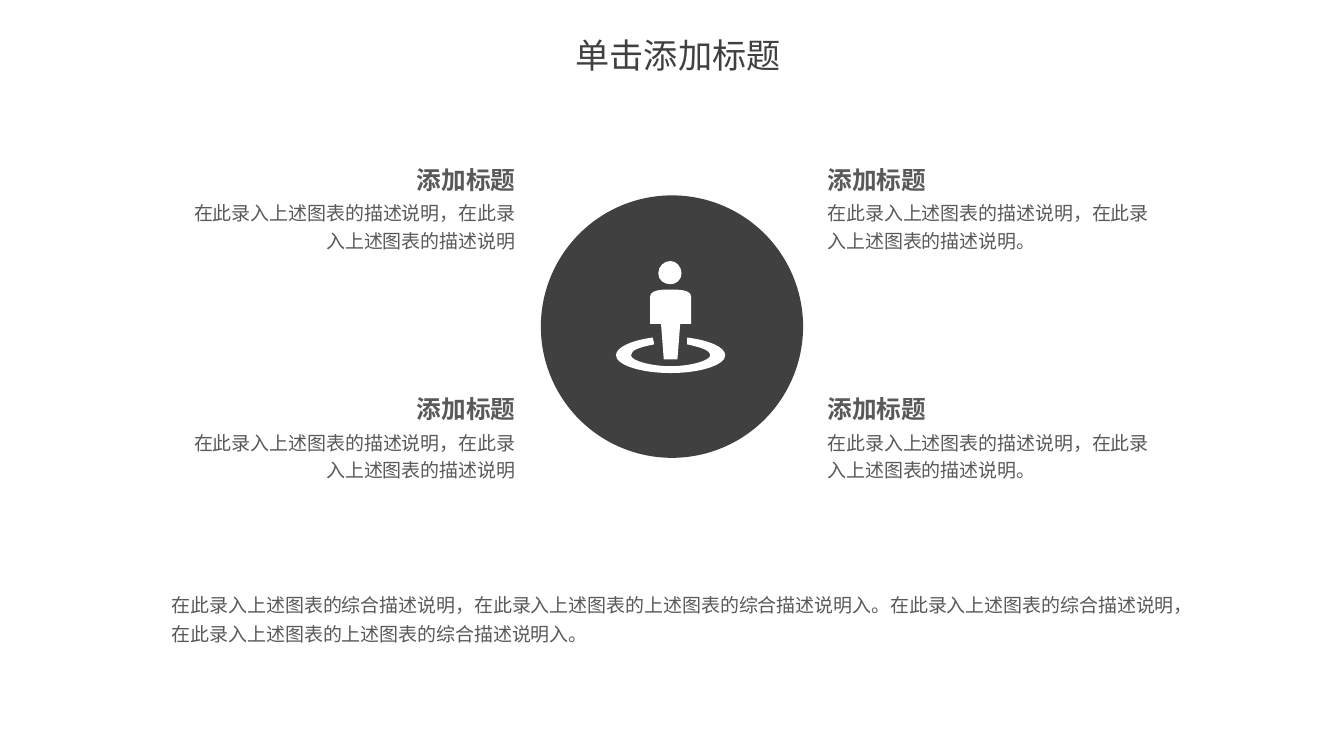
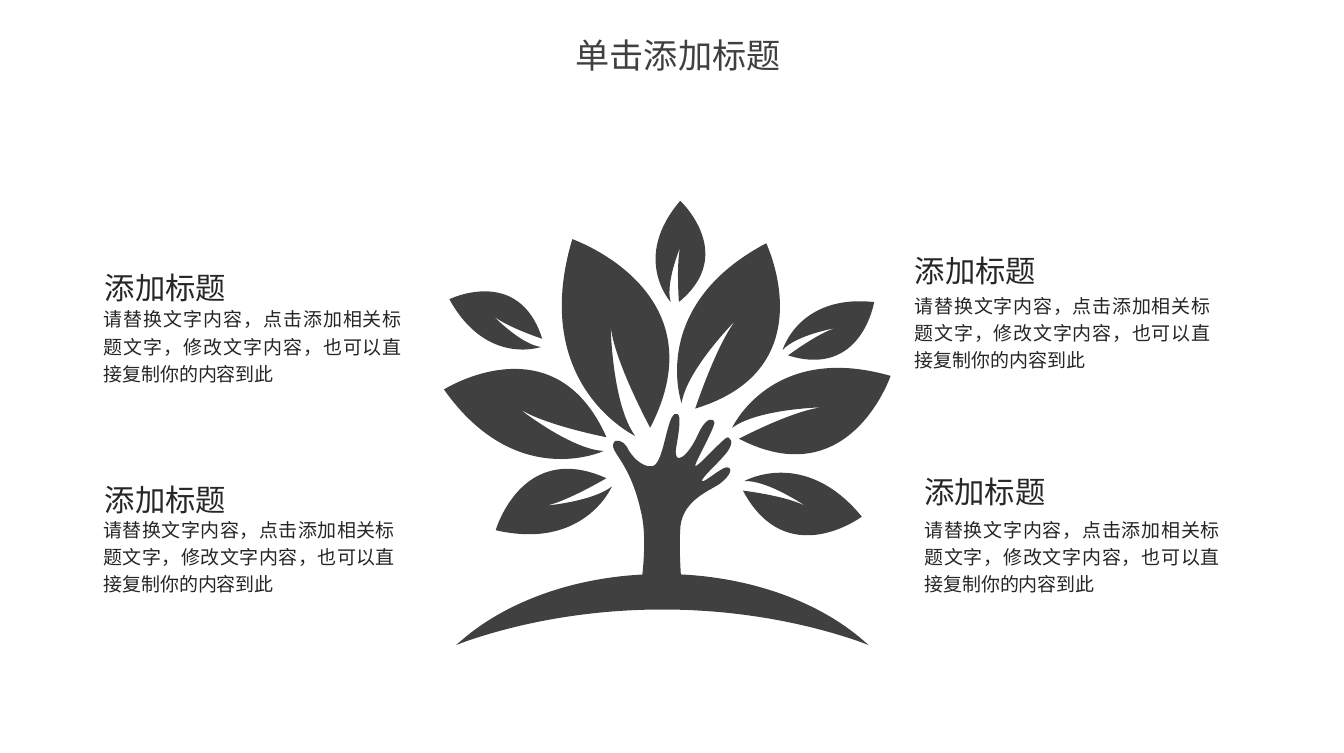
from itertools import product
from math import cos, radians, sin

from lxml.etree import SubElement
from pptx import Presentation
from pptx.dml.color import RGBColor
from pptx.enum.shapes import MSO_SHAPE
from pptx.enum.text import MSO_ANCHOR, MSO_AUTO_SIZE, PP_ALIGN
from pptx.oxml.ns import qn
from pptx.util import Inches, Pt

FONT = "Noto Sans CJK SC"
COLORS = {"dark": "404040", "grey": "595959", "ink": "262626", "white": "FFFFFF"}

HEADING = "添加标题"
CHART_NOTE = "在此录入上述图表的描述说明，在此录入上述图表的描述说明"
SUMMARY = (
    "在此录入上述图表的综合描述说明，在此录入上述图表的上述图表的综合描述说明入。"
    "在此录入上述图表的综合描述说明，在此录入上述图表的上述图表的综合描述说明入。"
)
TREE_NOTE = "请替换文字内容，点击添加相关标题文字，修改文字内容，也可以直接复制你的内容到此"

PERSON_FRAME = (4.51, 1.91, 0.79, 0.81)
RING = [
    [(4.91, 2.73)],
    [(4.69, 2.73), (4.51, 2.67), (4.51, 2.6)],
    [(4.51, 2.54), (4.63, 2.49), (4.78, 2.47)],
    [(4.79, 2.52)],
    [(4.69, 2.54), (4.62, 2.56), (4.62, 2.6)],
    [(4.62, 2.64), (4.77, 2.68), (4.91, 2.68)],
    [(5.05, 2.68), (5.2, 2.64), (5.2, 2.6)],
    [(5.2, 2.56), (5.12, 2.54), (5.03, 2.52)],
    [(5.03, 2.47)],
    [(5.19, 2.49), (5.31, 2.54), (5.31, 2.6)],
    [(5.31, 2.67), (5.13, 2.73), (4.91, 2.73)],
]
BODY = [
    [(4.96, 2.63)],
    [(4.91, 2.63)],
    [(4.86, 2.63)],
    [(4.84, 2.37)],
    [(4.76, 2.37)],
    [(4.76, 2.37), (4.76, 2.23), (4.76, 2.17)],
    [(4.76, 2.11), (4.9, 2.12), (4.91, 2.12)],
    [(4.92, 2.12), (5.06, 2.11), (5.06, 2.17)],
    [(5.06, 2.23), (5.06, 2.37), (5.06, 2.37)],
    [(4.98, 2.37)],
    [(4.96, 2.63)],
]
HEAD = [
    [(4.91, 2.08)],
    [(4.86, 2.08), (4.82, 2.05), (4.82, 2)],
    [(4.82, 1.95), (4.86, 1.91), (4.91, 1.91)],
    [(4.95, 1.91), (4.99, 1.95), (4.99, 2)],
    [(4.99, 2.05), (4.95, 2.08), (4.91, 2.08)],
]
HAND_FRAME = (4.49, 3.03, 0.87, 1.39)
HAND = [
    [(4.96, 3.03)],
    [(4.99, 3.04), (4.97, 3.17), (4.95, 3.28)],
    [(4.93, 3.42), (5.04, 3.34), (5.11, 3.18)],
    [(5.18, 3.03), (5.23, 3.07), (5.23, 3.09)],
    [(5.24, 3.12), (5.08, 3.4), (5.09, 3.41)],
    [(5.1, 3.43), (5.31, 3.19), (5.33, 3.2)],
    [(5.34, 3.21), (5.38, 3.22), (5.33, 3.3)],
    [(5.28, 3.37), (5.13, 3.5), (5.14, 3.52)],
    [(5.15, 3.54), (5.28, 3.42), (5.32, 3.42)],
    [(5.37, 3.42), (5.35, 3.48), (5.27, 3.54)],
    [(5.18, 3.6), (4.98, 3.67), (4.98, 3.89)],
    [(4.97, 4.04), (4.99, 4.28), (5, 4.41)],
    [(5, 4.42)],
    [(4.68, 4.42)],
    [(4.68, 4.38)],
    [(4.71, 4.19), (4.74, 3.92), (4.69, 3.73)],
    [(4.61, 3.38), (4.47, 3.31), (4.49, 3.25)],
    [(4.5, 3.2), (4.57, 3.23), (4.59, 3.27)],
    [(4.61, 3.32), (4.7, 3.43), (4.78, 3.41)],
    [(4.86, 3.39), (4.88, 3.06), (4.94, 3.03)],
    [(4.95, 3.03), (4.95, 3.03), (4.96, 3.03)],
]
GROUND_FRAME = (3.34, 4.2, 3.03, 0.52)
GROUND = [
    [(4.85, 4.2)],
    [(5.43, 4.2), (5.95, 4.38), (6.29, 4.66)],
    [(6.36, 4.72)],
    [(6.28, 4.69)],
    [(5.87, 4.55), (5.38, 4.46), (4.85, 4.46)],
    [(4.32, 4.46), (3.83, 4.55), (3.42, 4.69)],
    [(3.34, 4.72)],
    [(3.41, 4.66)],
    [(3.75, 4.38), (4.27, 4.2), (4.85, 4.2)],
]
LEAVES = [
    ((3.29, 2.35, 1.23, 1.22), 31.4,
     [(4.42, 3.3), (3.78, 3.6), (3.25, 2.85), (4.06, 2.34),
      (4.44, 3.2), (3.98, 3.11), (3.8, 2.99), (4.18, 3.29)]),
    ((3.83, 1.71, 1.49, 1.49), 82.7,
     [(4.65, 3.19), (3.87, 2.82), (4.19, 1.75), (5.28, 2.13),
      (4.76, 3.13), (4.49, 2.63), (4.47, 2.38), (4.48, 2.96)]),
    ((4.75, 1.8, 1.31, 1.31), 128.3,
     [(4.99, 2.95), (4.74, 2.24), (5.61, 1.78), (6.05, 2.7),
      (5.09, 2.99), (5.25, 2.51), (5.39, 2.34), (5.03, 2.7)]),
    ((5.36, 2.47, 1.2, 1.19), 172.4,
     [(5.36, 3.13), (5.65, 2.5), (6.52, 2.75), (6.22, 3.63),
      (5.41, 3.21), (5.81, 3), (6.02, 2.98), (5.55, 2.99)]),
    ((5.4, 3.29, 0.89, 0.88), 207.3,
     [(5.45, 3.52), (5.89, 3.27), (6.31, 3.78), (5.76, 4.19),
      (5.44, 3.59), (5.78, 3.63), (5.91, 3.71), (5.62, 3.51)]),
    ((3.59, 3.19, 0.89, 0.88), 349.2,
     [(4.48, 3.56), (4.28, 4.03), (3.63, 3.88), (3.82, 3.22),
      (4.44, 3.5), (4.15, 3.67), (4, 3.7), (4.34, 3.67)]),
    ((3.3, 1.94, 0.74, 0.73), 37.4,
     [(3.96, 2.54), (3.56, 2.68), (3.29, 2.19), (3.8, 1.94),
      (3.97, 2.48), (3.7, 2.39), (3.61, 2.31), (3.81, 2.52)]),
    ((4.65, 1.49, 0.74, 0.74), 105.9,
     [(4.91, 2.21), (4.62, 1.89), (4.98, 1.47), (5.4, 1.86),
      (4.97, 2.21), (4.95, 1.93), (4.98, 1.81), (4.87, 2.07)]),
    ((5.72, 2.09, 0.74, 0.73), 162.9,
     [(5.73, 2.56), (5.85, 2.15), (6.4, 2.21), (6.31, 2.77),
      (5.77, 2.6), (6, 2.43), (6.12, 2.4), (5.83, 2.45)]),
]
TREE_CAPTIONS = [
    (0.67, 1.79, 0.66, 2.17, 2.38),
    (0.67, 3.34, 0.66, 3.71, 2.33),
    (6.6, 1.66, 6.6, 2.07, 2.36),
    (6.67, 3.28, 6.67, 3.71, 2.36),
]


def paint(shape, color):
    shape.shadow.inherit = False
    shape.fill.solid()
    shape.fill.fore_color.rgb = RGBColor.from_string(COLORS[color])
    shape.line.fill.background()


def local_point(point, frame, angle):
    left, top, width, height = frame
    dx, dy = point[0] - left - width / 2, point[1] - top - height / 2
    turn = radians(angle)
    x = dx * cos(turn) + dy * sin(turn) + width / 2
    y = dy * cos(turn) - dx * sin(turn) + height / 2
    return Inches(x), Inches(y)


def add_curves(page, frame, outlines, color, angle=0):
    left, top, width, height = map(Inches, frame)
    right, bottom = left + width, top + height
    builder = page.shapes.build_freeform(left, top)
    builder.add_line_segments([(right, top), (right, bottom), (left, bottom)])
    shape = builder.convert_to_shape()
    shape.rotation = angle
    paint(shape, color)
    drawing = shape._element.spPr.find(".//" + qn("a:path"))
    for step in list(drawing):
        drawing.remove(step)
    for outline in outlines:
        for number, segment in enumerate(outline):
            kind = "a:cubicBezTo" if len(segment) == 3 else "a:lnTo"
            step = SubElement(drawing, qn(kind if number else "a:moveTo"))
            for point in segment:
                x, y = local_point(point, frame, angle)
                SubElement(step, qn("a:pt"), x=str(x), y=str(y))
        SubElement(drawing, qn("a:close"))


def add_leaf(page, frame, angle, points):
    outline = [[points[0]]]
    for index in range(0, len(points), 2):
        start, bend, end = points[index], points[index + 1], points[(index + 2) % 8]
        outline.append([start, bend, end])
    add_curves(page, frame, [outline], "dark", angle)


def write(box, text, size, color, align=PP_ALIGN.LEFT, spacing=1.0, bold=False,
          wrap=True, insets=(7.2, 3.6)):
    frame = box.text_frame
    frame.word_wrap = wrap
    frame.auto_size = MSO_AUTO_SIZE.SHAPE_TO_FIT_TEXT
    frame.margin_left = frame.margin_right = Pt(insets[0])
    frame.margin_top = frame.margin_bottom = Pt(insets[1])
    para = frame.paragraphs[0]
    para.alignment = align
    para.line_spacing = spacing
    para.space_before = Pt(0)
    span = para.add_run()
    span.text = text
    span.font.size = Pt(size)
    span.font.bold = bold
    span.font.name = FONT
    span.font.color.rgb = RGBColor.from_string(COLORS[color])
    SubElement(span.font._element, qn("a:ea"), typeface=FONT)


def add_text(page, place, text, size, color, **style):
    box = page.shapes.add_textbox(*map(Inches, place))
    write(box, text, size, color, **style)


def add_page(deck):
    page = deck.slides.add_slide(deck.slide_layouts.get_by_name("Title Only"))
    title = page.shapes.title
    title.left, title.top, title.width, title.height = map(Inches, (4.21, 0.25, 1.51, 0.3))
    write(title, "单击添加标题", 18, "dark", PP_ALIGN.CENTER, wrap=False, insets=(0, 0))
    title.text_frame.vertical_anchor = MSO_ANCHOR.MIDDLE
    return page


def build_person_page(deck):
    page = add_page(deck)
    disc = page.shapes.add_shape(MSO_SHAPE.OVAL, *map(Inches, (3.96, 1.43, 1.92, 1.92)))
    paint(disc, "dark")
    columns = [
        (5.99, 5.99, PP_ALIGN.LEFT, CHART_NOTE + "。"),
        (2.85, 1.34, PP_ALIGN.RIGHT, CHART_NOTE),
    ]
    for (heading_left, note_left, align, note), top in product(columns, (1.17, 2.85)):
        style = {"align": align, "insets": (4.9, 2.5)}
        add_text(page, (heading_left, top, 0.99, 0.3), HEADING, 13, "grey", bold=True, **style)
        add_text(page, (note_left, top + 0.24, 2.5, 0.47), note, 10, "grey",
                 spacing=1.2, **style)
    add_text(page, (1.16, 4.24, 7.66, 0.52), SUMMARY, 10, "grey", spacing=1.3)
    add_curves(page, PERSON_FRAME, [RING, BODY, HEAD], "white")


def build_tree_page(deck):
    page = add_page(deck)
    add_curves(page, HAND_FRAME, [HAND], "dark")
    for frame, angle, points in LEAVES:
        add_leaf(page, frame, angle, points)
    add_curves(page, GROUND_FRAME, [GROUND], "dark")
    for heading_left, heading_top, note_left, note_top, width in TREE_CAPTIONS:
        add_text(page, (note_left, note_top, width, 0.71), TREE_NOTE, 10, "ink",
                 align=PP_ALIGN.JUSTIFY, spacing=1.2)
        add_text(page, (heading_left, heading_top, 1.1, 0.46), HEADING, 16, "ink",
                 spacing=1.5, wrap=False)


def main():
    deck = Presentation()
    deck.slide_width, deck.slide_height = Inches(9.84), Inches(5.51)
    build_person_page(deck)
    build_tree_page(deck)
    deck.save("out.pptx")


if __name__ == "__main__":
    main()
